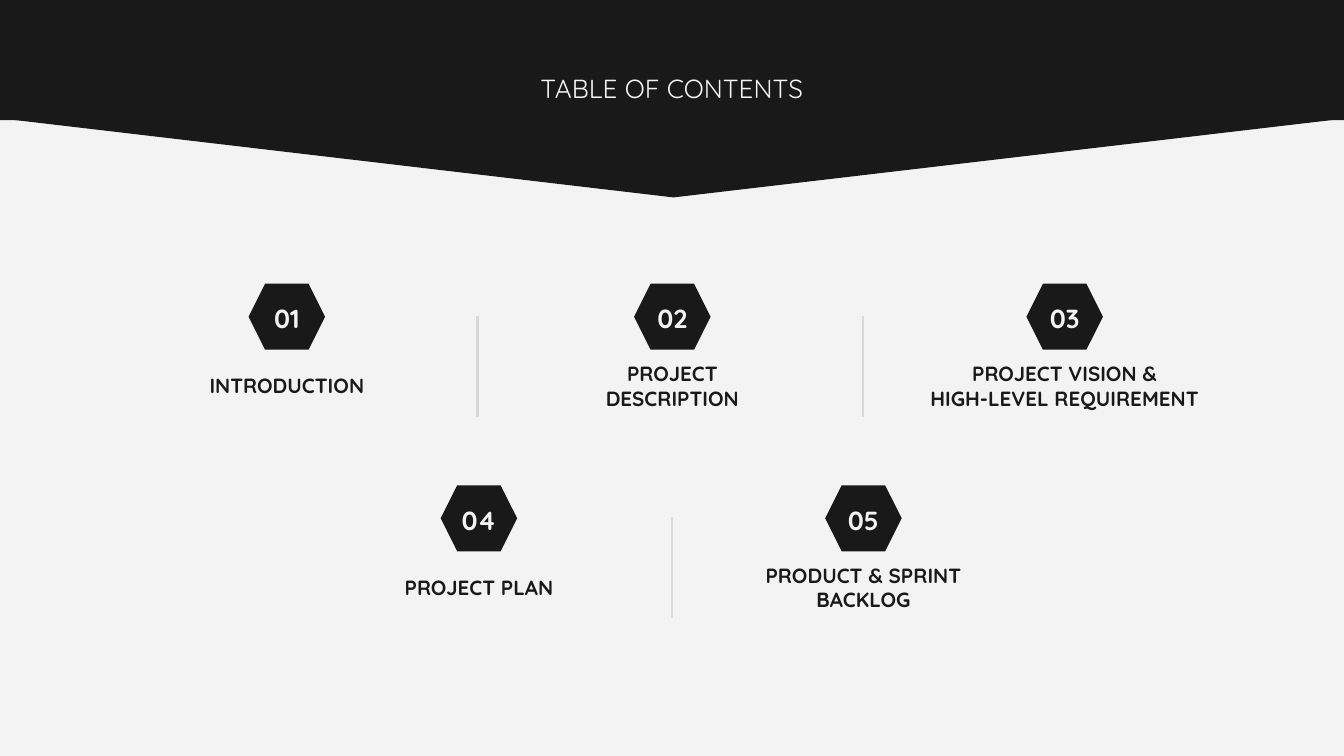
from typing import NamedTuple

from lxml import etree
from pptx import Presentation
from pptx.dml.color import RGBColor
from pptx.enum import shapes as sh, text as tx
from pptx.oxml import ns
from pptx.util import Pt

DARK = RGBColor(0x19, 0x19, 0x19)
PALE = RGBColor(0xF3, 0xF3, 0xF3)
GREY = RGBColor(0xD9, 0xD9, 0xD9)
FONT = "Quicksand"
KIND = sh.MSO_SHAPE
TOP, STEP = 152, 108
HEX_W, HEX_H = 41, 35.4


class Item(NamedTuple):
    row: int
    mid: float
    label: str
    width: float = 126


class Rule(NamedTuple):
    row: int
    x: float


ITEMS = [
    Item(0, 153.7, "INTRODUCTION"),
    Item(0, 360.2, "PROJECT DESCRIPTION"),
    Item(0, 570.4, "PROJECT VISION &\nHIGH-LEVEL REQUIREMENT", 189.4),
    Item(1, 256.6, "PROJECT PLAN"),
    Item(1, 462.6, "PRODUCT & SPRINT BACKLOG"),
]
RULES = [Rule(0, 255.8), Rule(0, 462.3), Rule(1, 360)]


def add_form(slide, kind, x: float, y: float, w: float, h: float):
    form = slide.shapes.add_shape(kind, Pt(x), Pt(y), Pt(w), Pt(h))
    form.shadow.inherit = False
    form.fill.solid()
    form.fill.fore_color.rgb = DARK
    form.line.fill.background()
    return form


def add_text(slide, words: str, mid: float, y: float, w: float, h: float,
             size: float, tint: RGBColor, bold: bool = True,
             anchor=tx.MSO_ANCHOR.MIDDLE) -> None:
    box = slide.shapes.add_textbox(Pt(mid - w / 2), Pt(y), Pt(w), Pt(h))
    frame = box.text_frame
    frame.word_wrap = True
    frame.vertical_anchor = anchor
    frame.margin_left = frame.margin_right = Pt(7.2)
    frame.margin_top = frame.margin_bottom = Pt(7.2)
    frame.text = words
    for para in frame.paragraphs:
        para.alignment = tx.PP_ALIGN.CENTER
        para.font.name = FONT
        para.font.size = Pt(size)
        para.font.bold = bold
        para.font.color.rgb = tint


def add_head(slide) -> None:
    point = add_form(slide, KIND.ISOSCELES_TRIANGLE, -0.7, 62.9, 723, 42.5)
    point.rotation = 180
    point.line.color.rgb = DARK
    point.line.width = Pt(0.75)
    add_form(slide, KIND.RECTANGLE, -0.7, -3, 723, 67.4)
    add_text(slide, "TABLE OF CONTENTS", 360, 31.7, 234.7, 54, 14, PALE,
             False, tx.MSO_ANCHOR.TOP)


def add_item(slide, item: Item, index: int) -> None:
    y = TOP + item.row * STEP
    add_form(slide, KIND.HEXAGON, item.mid - HEX_W / 2, y, HEX_W, HEX_H)
    add_text(slide, item.label, item.mid, y + 32, item.width, 45.4, 11, DARK)
    add_text(slide, f"{index:02}", item.mid, y + 6.5, 59, 23.8, 14, PALE)


def add_rule(slide, rule: Rule) -> None:
    y = TOP + 17.2 + rule.row * STEP
    line = slide.shapes.add_connector(
        sh.MSO_CONNECTOR.STRAIGHT, Pt(rule.x), Pt(y), Pt(rule.x), Pt(y + 54))
    line.line.color.rgb = GREY
    line.line.width = Pt(1.5)
    etree.SubElement(line._element.spPr, ns.qn("a:effectLst"))


def main() -> None:
    deck = Presentation()
    deck.slide_width, deck.slide_height = Pt(720), Pt(405)
    slide = deck.slides.add_slide(deck.slide_layouts[6])
    slide.background.fill.solid()
    slide.background.fill.fore_color.rgb = PALE
    add_head(slide)
    for rule in RULES:
        add_rule(slide, rule)
    for index, item in enumerate(ITEMS, 1):
        add_item(slide, item, index)
    deck.save("out.pptx")


if __name__ == "__main__":
    main()
